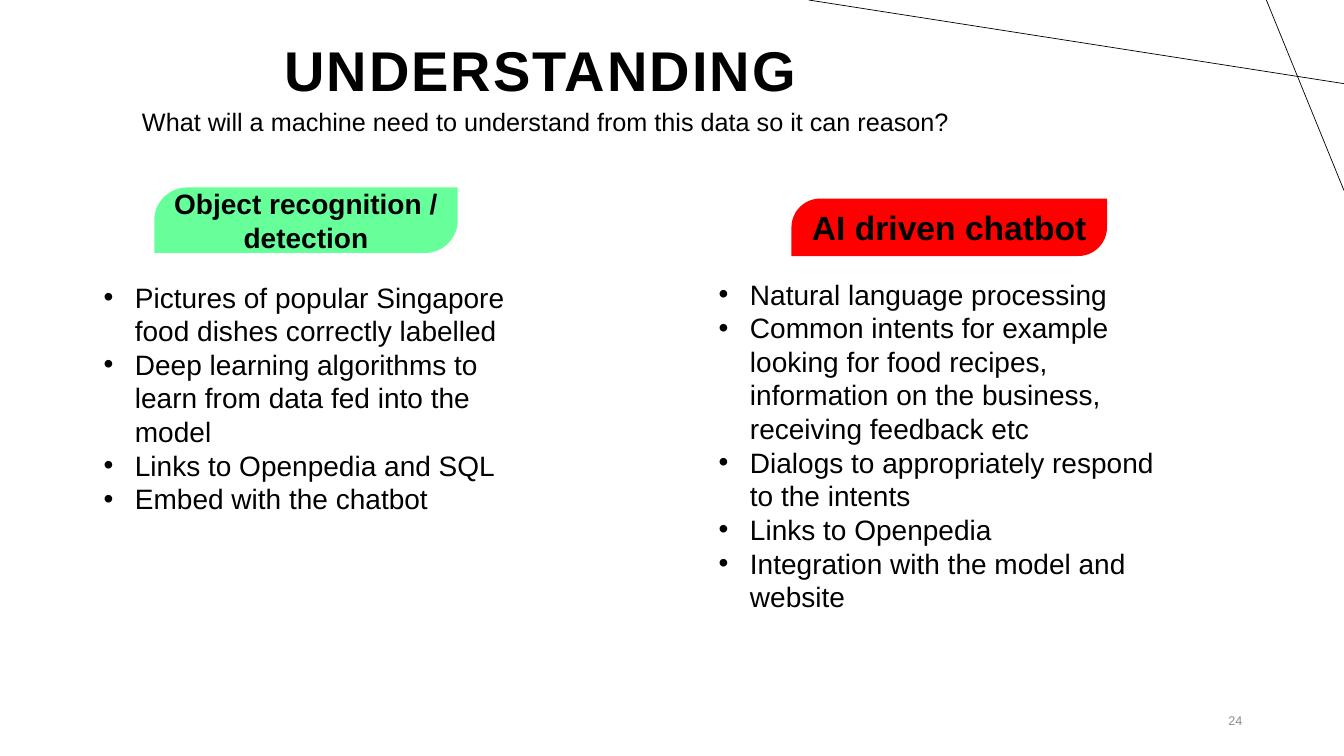
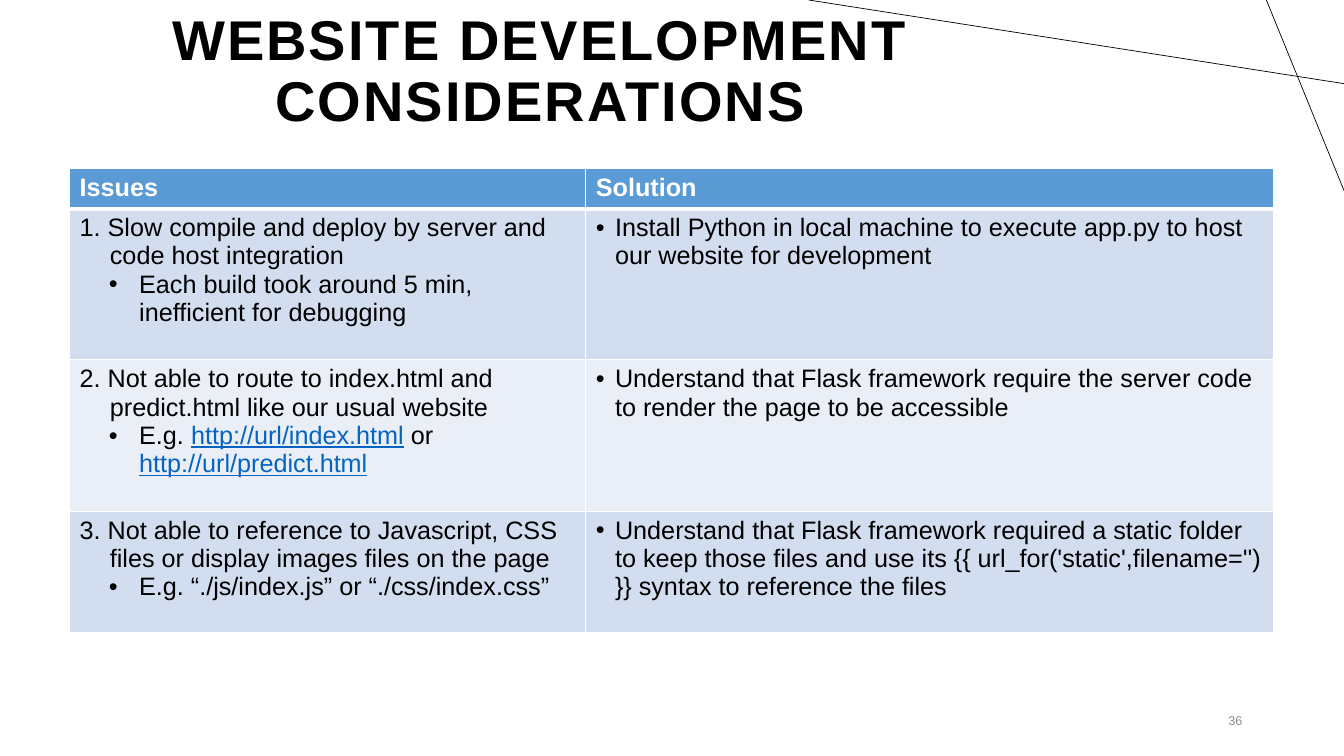
from lxml import etree
from pptx import Presentation
from pptx.dml.color import RGBColor
from pptx.enum.shapes import MSO_CONNECTOR, MSO_SHAPE
from pptx.enum.text import MSO_ANCHOR, PP_ALIGN
from pptx.oxml.ns import qn
from pptx.util import Inches, Pt

LEFT, CENTER, RIGHT = PP_ALIGN.LEFT, PP_ALIGN.CENTER, PP_ALIGN.RIGHT
TOP, MIDDLE = MSO_ANCHOR.TOP, MSO_ANCHOR.MIDDLE
STRAIGHT = MSO_CONNECTOR.STRAIGHT
TAG = MSO_SHAPE.ROUND_2_DIAG_RECTANGLE

COLORS = {
    "ink": "000000", "white": "FFFFFF", "muted": "8C8C8C", "link": "0563C1",
    "red": "FF0000", "green": "66FF99",
    "header": "5B9BD5", "band_dark": "D2DEEF", "band_light": "EAEFF7",
}
FONT = "Arial"
CORNER_LINES = [((13.33, 0.83), (8.02, 0)), ((12.56, 0), (13.33, 1.89))]
TITLE_BOX = (0.51, 0, 9.7, 1.45)
NUMBER_BOX = (9.42, 6.95, 3, 0.4)
LINK = {"color": "link", "underline": True}


def rgb(name):
    return RGBColor.from_string(COLORS[name])


# Text helpers
def add_run(p, text, size, color="ink", **font):
    r = p.add_run()
    r.text = text
    r.font.color.rgb = rgb(color)
    for name, value in {"name": FONT, "size": Pt(size), **font}.items():
        setattr(r.font, name, value)
    return r


def set_indent(p, left, hanging, bullet=False):
    pPr = p._p.get_or_add_pPr()
    pPr.set("marL", str(Inches(left)))
    pPr.set("indent", str(-Inches(hanging)))
    if bullet:
        color = etree.SubElement(pPr, qn("a:buClr"))
        etree.SubElement(color, qn("a:srgbClr"), val=COLORS["ink"])
        etree.SubElement(pPr, qn("a:buFont"), typeface=FONT)
        etree.SubElement(pPr, qn("a:buChar"), char="•")


def next_paragraph(tf, index):
    return tf.paragraphs[0] if index == 0 else tf.add_paragraph()


def add_box(s, box, anchor=TOP):
    tf = s.shapes.add_textbox(*map(Inches, box)).text_frame
    tf.word_wrap = True
    tf.vertical_anchor = anchor
    return tf


def add_line_of_text(s, box, text, size, align=LEFT, anchor=TOP, **font):
    p = add_box(s, box, anchor).paragraphs[0]
    p.alignment = align
    return p, add_run(p, text, size, **font)


# Parts shared by every slide
def add_base_slide(prs, title, number):
    s = prs.slides.add_slide(prs.slide_layouts[6])
    for start, end in CORNER_LINES:
        line = s.shapes.add_connector(STRAIGHT, *map(Inches, start + end))
        line.line.color.rgb = rgb("ink")
        line.line.width = Pt(0.5)
        etree.SubElement(line._element.spPr, qn("a:effectLst"))
    p, r = add_line_of_text(s, TITLE_BOX, title, 40, CENTER, MIDDLE, bold=True)
    p.line_spacing = 0.9
    r._r.get_or_add_rPr().set("spc", "150")
    add_line_of_text(s, NUMBER_BOX, number, 9, RIGHT, MIDDLE, color="muted")
    return s


# Coloured heading tag
def add_tag(s, box, text, size, fill):
    sp = s.shapes.add_shape(TAG, *map(Inches, box))
    sp.adjustments[0], sp.adjustments[1] = 0.5, 0
    sp.shadow.inherit = False
    sp.fill.solid()
    sp.fill.fore_color.rgb = rgb(fill)
    sp.line.fill.background()
    tf = sp.text_frame
    tf.word_wrap = True
    tf.vertical_anchor = MIDDLE
    for side in ("left", "top", "right", "bottom"):
        setattr(tf, f"margin_{side}", 0)
    p = tf.paragraphs[0]
    p.alignment = CENTER
    add_run(p, text, size, bold=True)


def add_bullets(s, box, items):
    tf = add_box(s, box)
    for i, item in enumerate(items):
        p = next_paragraph(tf, i)
        set_indent(p, 0.31, 0.31, bullet=True)
        add_run(p, item, 20)


# Table
def set_borders(cell, bottom):
    tcPr = cell._tc.get_or_add_tcPr()
    for side, width in (("L", 1), ("R", 1), ("T", 1), ("B", bottom)):
        ln = etree.SubElement(tcPr, qn(f"a:ln{side}"), w=str(Pt(width)))
        fill = etree.SubElement(ln, qn("a:solidFill"))
        etree.SubElement(fill, qn("a:srgbClr"), val=COLORS["white"])


def style_cell(cell, fill, bottom=1):
    set_borders(cell, bottom)
    cell.fill.solid()
    cell.fill.fore_color.rgb = rgb(fill)


def fill_issue(cell, issue, detail):
    tf = cell.text_frame
    p = tf.paragraphs[0]
    set_indent(p, 0.3, 0.3)
    add_run(p, issue, 18, bold=False)
    p = tf.add_paragraph()
    set_indent(p, 0.59, 0.3, bullet=True)
    for text, style in detail:
        add_run(p, text, 18, bold=False, **style)


def fill_solution(cell, solution):
    p = cell.text_frame.paragraphs[0]
    set_indent(p, 0.19, 0.19, bullet=True)
    add_run(p, solution, 18, bold=False)


def add_issue_table(s, box, widths, heights, headers, rows):
    table = s.shapes.add_table(len(rows) + 1, len(headers),
                               *map(Inches, box)).table
    for col, width in zip(table.columns, widths):
        col.width = Inches(width)
    for row, height in zip(table.rows, heights):
        row.height = Inches(height)
    for c, header in enumerate(headers):
        cell = table.cell(0, c)
        style_cell(cell, "header", bottom=3)
        add_run(cell.text_frame.paragraphs[0], header, 18, "white", bold=True)
    for i, (issue, detail, solution) in enumerate(rows, 1):
        for c in range(len(headers)):
            style_cell(table.cell(i, c), "band_dark" if i % 2 else "band_light")
        fill_issue(table.cell(i, 0), issue, detail)
        fill_solution(table.cell(i, 1), solution)


# Slides
def build_understanding(prs):
    s = add_base_slide(prs, "UNDERSTANDING", "24")
    add_line_of_text(
        s, (1.31, 1.01, 8.91, 0.4),
        "What will a machine need to understand from this data so it can reason?", 18)
    add_tag(s, (1.53, 1.86, 3.01, 0.65), "Object recognition / detection", 20, "green")
    add_bullets(s, (0.93, 2.73, 4.44, 2.79), [
        "Pictures of popular Singapore food dishes correctly labelled",
        "Deep learning algorithms to learn from data fed into the model",
        "Links to Openpedia and SQL",
        "Embed with the chatbot",
    ])
    add_tag(s, (7.85, 1.97, 3.13, 0.57), "AI driven chatbot", 24, "red")
    add_bullets(s, (7.03, 2.7, 4.55, 3.47), [
        "Natural language processing",
        "Common intents for example looking for food recipes, "
        "information on the business, receiving feedback etc",
        "Dialogs to appropriately respond to the intents",
        "Links to Openpedia",
        "Integration with the model and website",
    ])


def build_considerations(prs):
    s = add_base_slide(prs, "WEBSITE DEVELOPMENT CONSIDERATIONS", "36")
    rows = [
        ("1. Slow compile and deploy by server and code host integration",
         [("Each build took around 5 min, inefficient for debugging", {})],
         "Install Python in local machine to execute app.py to host our website "
         "for development"),
        ("2. Not able to route to index.html and predict.html like our usual website",
         [("E.g. ", {}), ("http://url/index.html", LINK), (" or ", {}),
          ("http://url/predict.html", LINK)],
         "Understand that Flask framework require the server code to render "
         "the page to be accessible"),
        ("3. Not able to reference to Javascript, CSS files or display images "
         "files on the page",
         [("E.g. “./js/index.js” or “./css/index.css”", {})],
         "Understand that Flask framework required a static folder to keep those "
         "files and use its {{ url_for('static',filename='') }} syntax to "
         "reference the files"),
    ]
    add_issue_table(s, (0.69, 1.67, 11.94, 4.61), (5.12, 6.82),
                    (0.4, 1.5, 1.5, 1.21), ("Issues", "Solution"), rows)


def main():
    prs = Presentation()
    prs.slide_width, prs.slide_height = Inches(13.33), Inches(7.5)
    build_understanding(prs)
    build_considerations(prs)
    prs.save("out.pptx")


if __name__ == "__main__":
    main()
